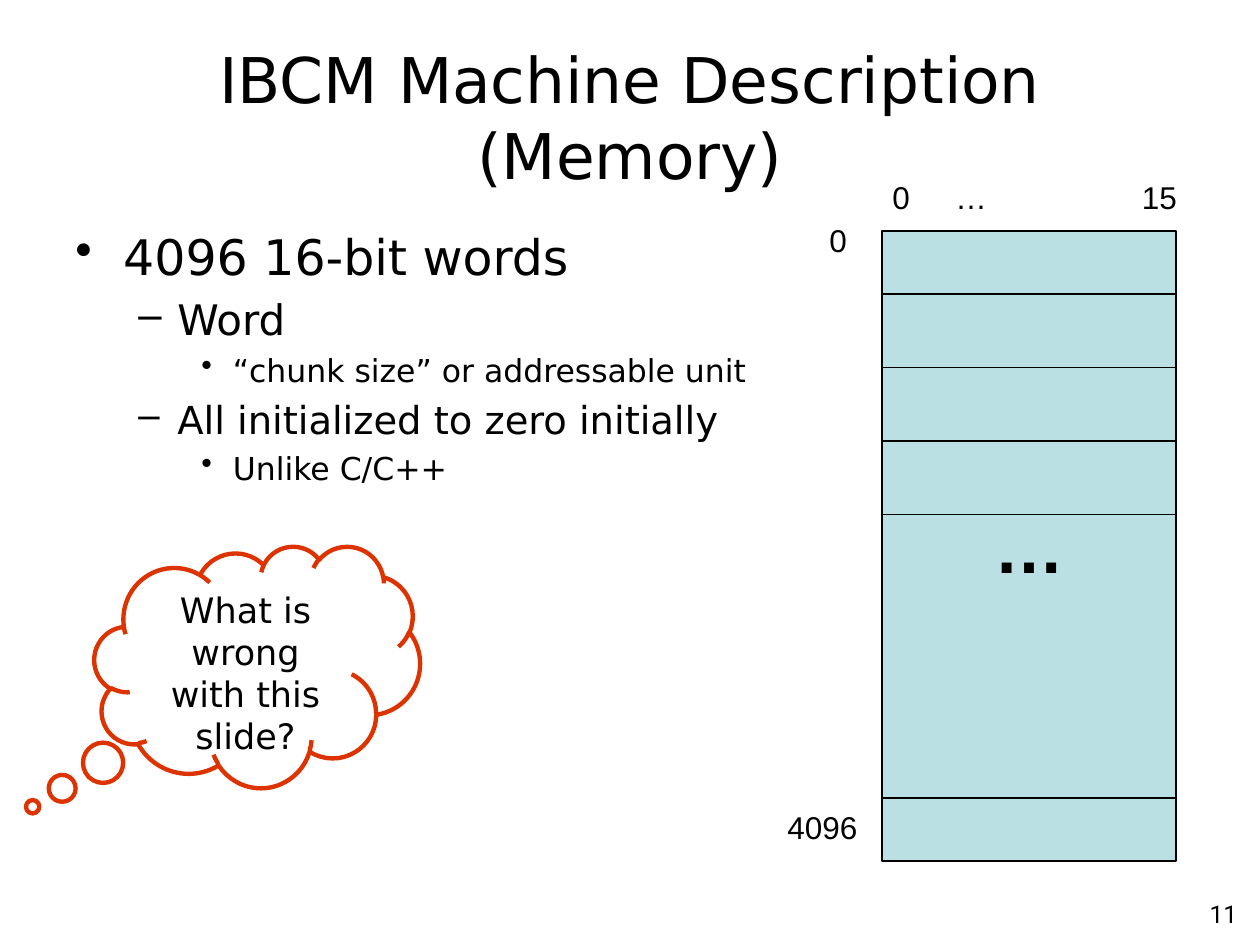
from lxml import etree
from pptx import Presentation
from pptx.dml.color import RGBColor
from pptx.enum.shapes import MSO_CONNECTOR, MSO_SHAPE
from pptx.enum.text import MSO_ANCHOR, PP_ALIGN
from pptx.oxml.ns import qn
from pptx.util import Inches, Pt

LEFT, MID, RIGHT, JUST = (PP_ALIGN.LEFT, PP_ALIGN.CENTER,
                          PP_ALIGN.RIGHT, PP_ALIGN.JUSTIFY)
TOP, CENTER = MSO_ANCHOR.TOP, MSO_ANCHOR.MIDDLE
RECT, CLOUD = MSO_SHAPE.RECTANGLE, MSO_SHAPE.CLOUD_CALLOUT
LINE = MSO_CONNECTOR.STRAIGHT

THEME = {
    "ink": RGBColor(0, 0, 0),
    "cell": RGBColor(0xBB, 0xE0, 0xE3),
    "alert": RGBColor(0xDD, 0x33, 0),
    "main": "DejaVu Sans", "label": "Arial", "foot": "Roboto",
    "title": 36, "dots": 40, "note": 20, "tag": 18, "page": 14,
    "thin": Pt(0.75), "thick": Pt(2.5),
}

deck = Presentation()
deck.slide_width, deck.slide_height = Inches(10), Inches(7.5)
slide = deck.slides.add_slide(deck.slide_layouts[6])
shapes = slide.shapes

# Grid of 120 columns by 90 rows
COL, ROW = deck.slide_width / 120, deck.slide_height / 90


def grid(x, y, w, h):
    return int(x * COL), int(y * ROW), int(w * COL), int(h * ROW)


def write(shape, text, size, face, align=LEFT, anchor=TOP, wrap=True, bold=False):
    frame = shape.text_frame
    for key, val in {"word_wrap": wrap, "vertical_anchor": anchor}.items():
        setattr(frame, key, val)
    para = frame.paragraphs[0]
    if para.runs:
        para = frame.add_paragraph()
    para.alignment = align
    run = para.add_run()
    run.text = text
    form = {"size": Pt(size), "name": THEME[face], "bold": bold}
    for key, val in form.items():
        setattr(run.font, key, val)
    run.font.color.rgb = THEME["ink"]
    return para


# Page number and title
page = shapes.add_textbox(*grid(94, 85, 25, 4.4))
write(page, "11", THEME["page"], "foot", RIGHT)
title = shapes.add_textbox(*grid(6, 3.6, 108, 15))
write(title, "IBCM Machine Description (Memory)", THEME["title"], "main",
      MID, CENTER)

# Bullets: text, level, size
LEVELS = [("•", 0.38, 0.38), ("–", 0.81, 0.31), ("•", 1.25, 0.25)]
points = [
    ("4096 16-bit words", 0, 28),
    ("Word", 1, 24),
    ("“chunk size” or addressable unit", 2, 18),
    ("All initialized to zero initially", 1, 22),
    ("Unlike C/C++", 2, 18),
]
body = shapes.add_textbox(*grid(6, 21, 108, 65))
for text, level, size in points:
    para = write(body, text, size, "main", JUST)
    para.level = level
    para.space_before = Pt(size * 0.2)
    mark, left, hang = LEVELS[level]
    props = para._p.get_or_add_pPr()
    props.set("marL", str(Inches(left)))
    props.set("indent", str(-Inches(hang)))
    etree.SubElement(props, qn("a:buChar")).set("char", mark)

# Memory block
X, Y, W, H = 84, 22, 28, 60
block = shapes.add_shape(RECT, *grid(X, Y, W, H))
block.shadow.inherit = False
block.fill.solid()
block.fill.fore_color.rgb = THEME["cell"]
block.line.color.rgb = THEME["ink"]
block.line.width = THEME["thin"]
write(block, "…", THEME["dots"], "label", MID, CENTER, False, True)

# Word borders: four at the top, one above the last word
STEP, EDGE = 7, 6
for y in [Y + EDGE + STEP * i for i in range(4)] + [Y + H - EDGE]:
    x1, y1, x2, y2 = grid(X, y, X + W, y)
    rule = shapes.add_connector(LINE, x1, y1, x2, y2)
    rule.line.color.rgb = THEME["ink"]
    rule.line.width = THEME["thin"]
    etree.SubElement(rule._element.spPr, qn("a:effectLst"))

# Address labels
for text, x, y, w in [("0", 77.8, 20.5, 4), ("4096", 73.8, 76.4, 9.1)]:
    tag = shapes.add_textbox(*grid(x, y, w, 4.8))
    write(tag, text, THEME["tag"], "label", wrap=False)

# Bit labels, set out with tab stops
bits = shapes.add_textbox(*grid(83.8, 16.4, 29.6, 4.8))
para = write(bits, "0\t…\t15", THEME["tag"], "label")
tabs = etree.SubElement(para._p.get_or_add_pPr(), qn("a:tabLst"))
for stop in (0.5, 1.98):
    tab = etree.SubElement(tabs, qn("a:tab"))
    tab.set("pos", str(Inches(stop)))
    tab.set("algn", "l")

# Thought cloud
cloud = shapes.add_shape(CLOUD, *grid(9, 52, 31, 23))
cloud.shadow.inherit = False
cloud.adjustments[0], cloud.adjustments[1] = -0.69, 0.58
cloud.fill.background()
cloud.line.color.rgb = THEME["alert"]
cloud.line.width = THEME["thick"]
write(cloud, "What is wrong with this slide?", THEME["note"], "main", MID)

deck.save("out.pptx")
